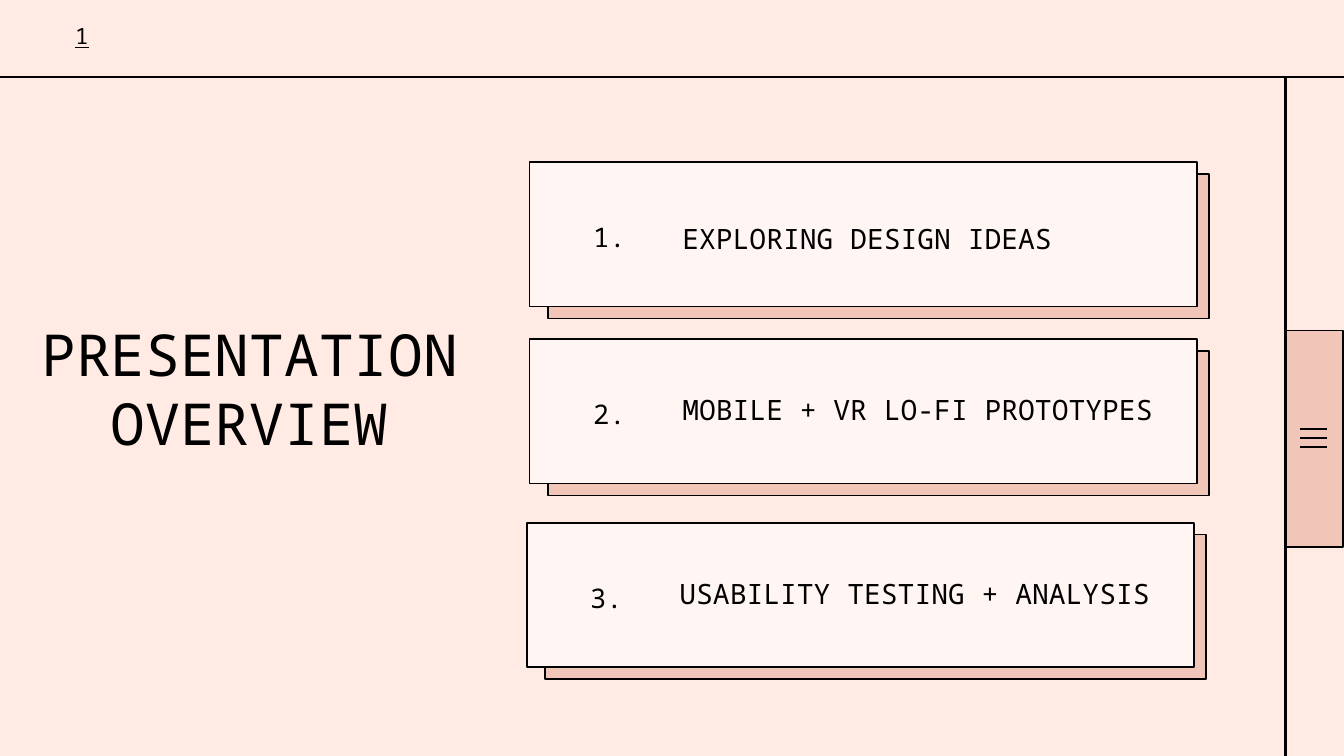
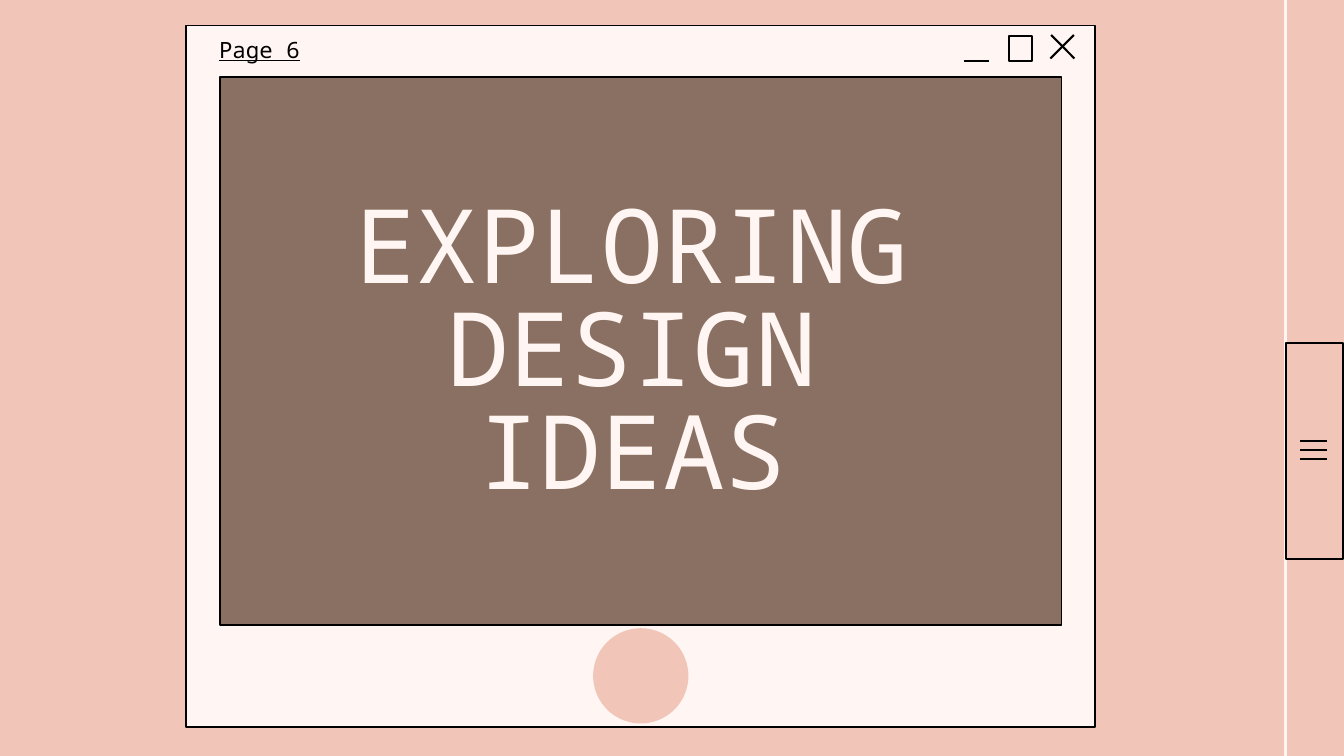
from dataclasses import dataclass

from lxml import etree
from pptx import Presentation
from pptx import util as u
from pptx.dml.color import RGBColor
from pptx.enum import shapes, text
from pptx.oxml import ns

WIDTH, HEIGHT = 50.8, 28.58


@dataclass(frozen=True)
class Theme:
    font: str = "Noto Sans Mono"
    ink: str = "000000"
    cream: str = "FFEBE3"
    paper: str = "FFF5F2"
    blush: str = "F1C5B8"
    mocha: str = "897062"
    frame_width: float = 1.8
    rule_width: float = 2.25
    cover_size: float = 110
    title_size: float = 62
    label_size: float = 30
    number_size: float = 28.9
    page_size: float = 24


class Deck:
    def __init__(self, theme):
        self.theme = theme
        self.presentation = Presentation()
        self.presentation.slide_width = u.Cm(WIDTH)
        self.presentation.slide_height = u.Cm(HEIGHT)
        self.slide = None

    def start_slide(self, background):
        self.slide = self.presentation.slides.add_slide(self.presentation.slide_layouts[5])
        self.paint(self.slide.background.fill, background)

    def paint(self, fill, color):
        fill.solid()
        fill.fore_color.rgb = RGBColor.from_string(color)

    def place(self, shape, left, top, width, height):
        shape.left, shape.top = u.Cm(left), u.Cm(top)
        shape.width, shape.height = u.Cm(width), u.Cm(height)

    def set_lines(self, shape, lines, size, spacing, color, align, underline=False):
        frame = shape.text_frame
        frame.word_wrap = True
        frame.auto_size = text.MSO_AUTO_SIZE.NONE
        frame.vertical_anchor = text.MSO_ANCHOR.TOP
        frame.margin_left = frame.margin_right = 0
        frame.margin_top = frame.margin_bottom = 0
        for index, line in enumerate(lines):
            paragraph = frame.add_paragraph() if index else frame.paragraphs[0]
            paragraph.alignment = align
            paragraph.line_spacing = u.Pt(spacing)
            run = paragraph.add_run()
            run.text = line
            run.font.name = self.theme.font
            run.font.size = u.Pt(size)
            run.font.underline = underline
            run.font.color.rgb = RGBColor.from_string(color)

    def title(self, box, lines, size, spacing, color):
        heading = self.slide.shapes.title
        self.place(heading, *box)
        self.set_lines(heading, lines, size, spacing, color, text.PP_ALIGN.CENTER)
        heading.element.getparent().append(heading.element)

    def label(self, box, words, size, spacing, align=text.PP_ALIGN.LEFT, underline=False):
        caption = self.slide.shapes.add_textbox(*map(u.Cm, box))
        self.set_lines(caption, [words], size, spacing, self.theme.ink, align, underline)

    def page_label(self, left, top, words):
        self.label((left, top, 8.51, 0.84), words, self.theme.page_size, 24, underline=True)

    def panel(self, box, color, kind=shapes.MSO_SHAPE.RECTANGLE, framed=True):
        panel = self.slide.shapes.add_shape(kind, *map(u.Cm, box))
        panel.shadow.inherit = False
        self.paint(panel.fill, color)
        if framed:
            self.paint(panel.line.fill, self.theme.ink)
            panel.line.width = u.Pt(self.theme.frame_width)
        else:
            panel.line.fill.background()

    def rule(self, x1, y1, x2, y2, color=None):
        ends = map(u.Cm, (x1, y1, x2, y2))
        rule = self.slide.shapes.add_connector(shapes.MSO_CONNECTOR.STRAIGHT, *ends)
        self.paint(rule.line.fill, color or self.theme.ink)
        rule.line.width = u.Pt(self.theme.rule_width)
        etree.SubElement(rule.element.find(ns.qn("p:spPr")), ns.qn("a:effectLst"))

    def side_menu(self, rail_top, tab_top, rail_color):
        self.rule(48.59, rail_top, 48.59, HEIGHT, rail_color)
        self.panel((48.62, tab_top, 2.15, 8.17), self.theme.blush)
        for step in (-1, 0, 1):
            bar_y = tab_top + 4.06 + step * 0.34
            self.rule(49.15, bar_y, 50.17, bar_y)

    def card(self, left, top, number, topic, topic_drop):
        theme = self.theme
        self.panel((left + 0.69, top + 0.45, 24.98, 5.47), theme.blush)
        self.panel((left, top, 25.23, 5.47), theme.paper)
        self.label((left + 0.99, top + 2.22, 4.04, 1.22), f"{number}.",
                   theme.number_size, 34.6, text.PP_ALIGN.CENTER)
        self.label((left + 5.77, top + topic_drop, 18.24, 1.42), topic,
                   theme.label_size, 42)

    def window_buttons(self):
        self.rule(36.45, 2.29, 37.39, 2.29)
        self.panel((38.13, 1.37, 0.88, 0.95), self.theme.paper)
        self.rule(39.73, 1.32, 40.61, 2.21)
        self.rule(40.59, 1.32, 39.7, 2.21)


def build_overview(deck):
    theme = deck.theme
    deck.start_slide(theme.cream)
    deck.title((1.3, 12.04, 16.28, 5.26), ["PRESENTATION", "OVERVIEW"],
               theme.title_size, 74.4, theme.ink)
    deck.rule(0, 2.92, WIDTH, 2.92)
    deck.page_label(2.84, 1.02, "1")
    deck.side_menu(2.95, 12.5, theme.ink)
    topics = [
        (20.02, 6.12, "EXPLORING DESIGN IDEAS", 2.06),
        (20.02, 12.81, "MOBILE + VR LO-FI PROTOTYPES", 1.82),
        (19.91, 19.76, "USABILITY TESTING + ANALYSIS", 1.82),
    ]
    for number, (left, top, topic, topic_drop) in enumerate(topics, 1):
        deck.card(left, top, number, topic, topic_drop)


def build_section(deck):
    theme = deck.theme
    deck.start_slide(theme.blush)
    deck.panel((7.04, 0.97, 34.36, 26.52), theme.paper)
    deck.panel((22.42, 23.75, 3.6, 3.6), theme.blush, shapes.MSO_SHAPE.OVAL, framed=False)
    deck.panel((8.32, 2.9, 31.8, 20.74), theme.mocha)
    deck.window_buttons()
    deck.side_menu(0, 12.96, theme.paper)
    deck.title((9.73, 7.62, 28.35, 11.81), ["EXPLORING", "DESIGN", "IDEAS"],
               theme.cover_size, 110, theme.paper)
    deck.page_label(8.28, 1.52, "Page 6")


def main():
    deck = Deck(Theme())
    build_overview(deck)
    build_section(deck)
    deck.presentation.save("out.pptx")


if __name__ == "__main__":
    main()
